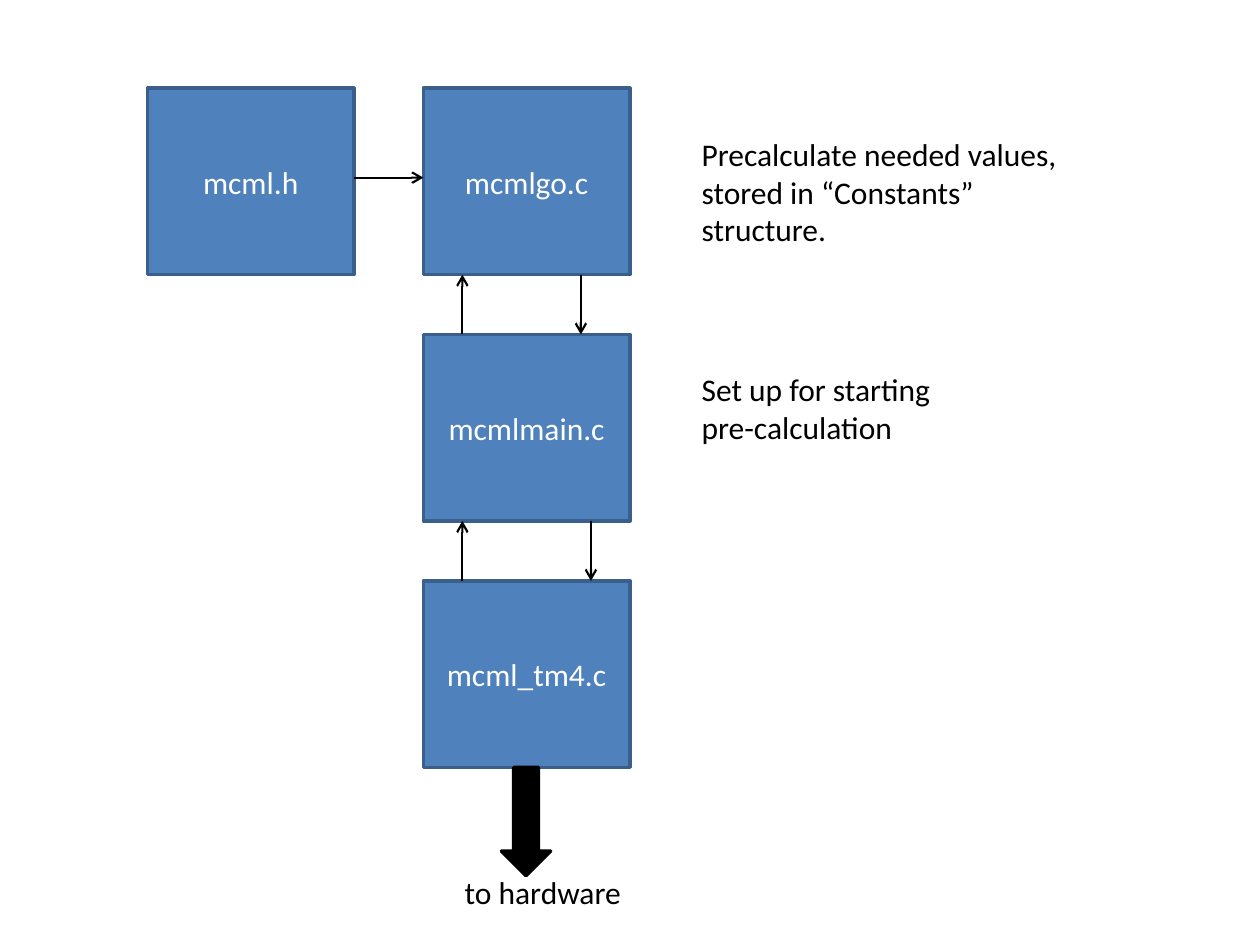
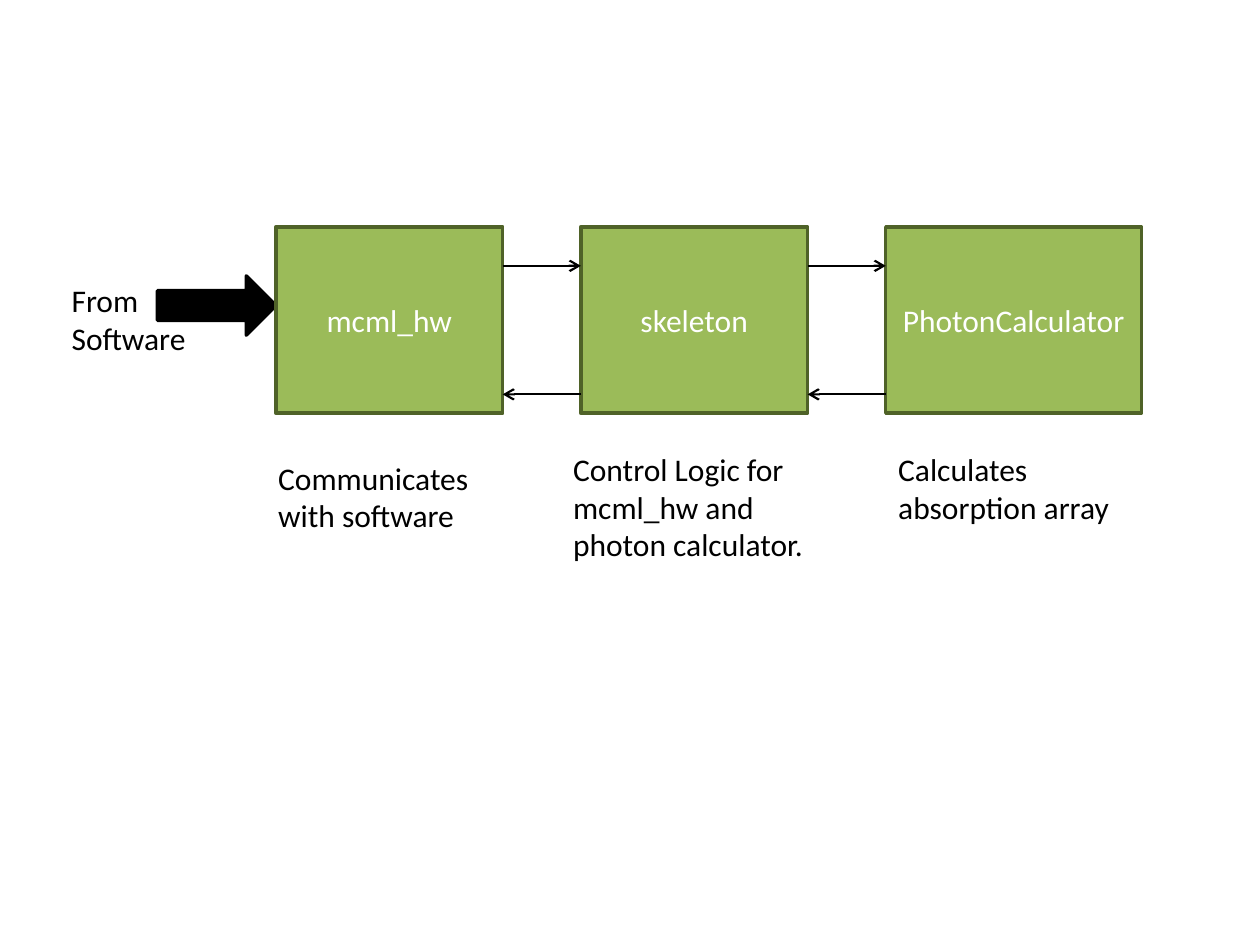
from dataclasses import dataclass

from lxml.etree import SubElement
from pptx import Presentation
from pptx.dml.color import RGBColor
from pptx.enum.shapes import MSO_CONNECTOR, MSO_SHAPE
from pptx.enum.text import MSO_ANCHOR, MSO_AUTO_SIZE, PP_ALIGN
from pptx.oxml.ns import qn
from pptx.shapes.autoshape import Shape
from pptx.slide import Slide
from pptx.text.text import TextFrame
from pptx.util import Inches, Pt


@dataclass(frozen=True)
class Theme:
    font: str = "Calibri"
    text_size: Pt = Pt(18)
    outline: Pt = Pt(2)
    arrow_line: Pt = Pt(1.25)
    ink: RGBColor = RGBColor(0x00, 0x00, 0x00)
    label: RGBColor = RGBColor(0xFF, 0xFF, 0xFF)
    software: RGBColor = RGBColor(0x4F, 0x81, 0xBD)
    software_edge: RGBColor = RGBColor(0x3A, 0x5F, 0x8C)
    hardware: RGBColor = RGBColor(0x9B, 0xBB, 0x59)
    hardware_edge: RGBColor = RGBColor(0x4F, 0x62, 0x28)


THEME = Theme()
MODULE_HEIGHT = 1.48


@dataclass(frozen=True)
class Module:
    name: str
    left: float
    top: float
    width: float

    @property
    def right(self) -> float:
        return self.left + self.width

    @property
    def bottom(self) -> float:
        return self.top + MODULE_HEIGHT


@dataclass(frozen=True)
class Note:
    text: str
    left: float
    top: float
    width: float
    height: float


@dataclass(frozen=True)
class Arrow:
    x1: float
    y1: float
    x2: float
    y2: float


def write(frame: TextFrame, text: str, color: RGBColor) -> None:
    run = frame.paragraphs[0].add_run()
    run.text = text
    run.font.name = THEME.font
    run.font.size = THEME.text_size
    run.font.color.rgb = color


def draw_shape(slide: Slide, preset: MSO_SHAPE, left: float, top: float, width: float,
               height: float, fill: RGBColor, edge: RGBColor) -> Shape:
    shape = slide.shapes.add_shape(
        preset, Inches(left), Inches(top), Inches(width), Inches(height))
    shape.shadow.inherit = False
    shape.fill.solid()
    shape.fill.fore_color.rgb = fill
    shape.line.color.rgb = edge
    shape.line.width = THEME.outline
    return shape


def draw_module(slide: Slide, module: Module, fill: RGBColor, edge: RGBColor) -> None:
    box = draw_shape(slide, MSO_SHAPE.RECTANGLE, module.left, module.top,
                     module.width, MODULE_HEIGHT, fill, edge)
    frame = box.text_frame
    frame.word_wrap = True
    frame.vertical_anchor = MSO_ANCHOR.MIDDLE
    frame.paragraphs[0].alignment = PP_ALIGN.CENTER
    write(frame, module.name, THEME.label)


def draw_note(slide: Slide, note: Note) -> None:
    box = slide.shapes.add_textbox(
        Inches(note.left), Inches(note.top), Inches(note.width), Inches(note.height))
    box.text_frame.word_wrap = True
    box.text_frame.auto_size = MSO_AUTO_SIZE.SHAPE_TO_FIT_TEXT
    write(box.text_frame, note.text, THEME.ink)


def draw_arrow(slide: Slide, arrow: Arrow) -> None:
    connector = slide.shapes.add_connector(
        MSO_CONNECTOR.STRAIGHT, Inches(arrow.x1), Inches(arrow.y1),
        Inches(arrow.x2), Inches(arrow.y2))
    connector.line.color.rgb = THEME.ink
    connector.line.width = THEME.arrow_line
    SubElement(connector.line._get_or_add_ln(), qn("a:tailEnd"), type="arrow")
    SubElement(connector._element.spPr, qn("a:effectLst"))


def build_software(slide: Slide) -> None:
    width, column, first_top, step = 1.64, 3.36, 0.7, 1.955
    header = Module("mcml.h", 1.17, first_top, width)
    stack = [Module(name, column, first_top + row * step, width)
             for row, name in enumerate(("mcmlgo.c", "mcmlmain.c", "mcml_tm4.c"))]
    for module in (header, *stack):
        draw_module(slide, module, THEME.software, THEME.software_edge)

    draw_arrow(slide, Arrow(header.right, 1.41, column, 1.41))
    up_x = 3.67
    for upper, lower, down_x in zip(stack, stack[1:], (4.61, 4.69)):
        draw_arrow(slide, Arrow(up_x, lower.top, up_x, upper.bottom))
        draw_arrow(slide, Arrow(down_x, upper.bottom, down_x, lower.top))

    draw_shape(slide, MSO_SHAPE.DOWN_ARROW, 3.98, stack[-1].bottom, 0.39, 0.86,
               THEME.ink, THEME.ink)
    for note in (
        Note("Precalculate needed values, stored in “Constants” structure.",
             5.47, 1.02, 3.13, 1.01),
        Note("Set up for starting pre-calculation", 5.47, 2.89, 2.11, 0.71),
        Note("to hardware", 3.59, 6.88, 2.97, 0.4),
    ):
        draw_note(slide, note)


def build_hardware(slide: Slide) -> None:
    first_left, step, top = 2.19, 2.42, 1.8
    chain = [Module(name, first_left + column * step, top, width)
             for column, (name, width) in enumerate(
                 (("mcml_hw", 1.8), ("skeleton", 1.8), ("PhotonCalculator", 2.03)))]
    draw_shape(slide, MSO_SHAPE.RIGHT_ARROW, 1.25, 2.19, 0.94, 0.47,
               THEME.ink, THEME.ink)
    for module in chain:
        draw_module(slide, module, THEME.hardware, THEME.hardware_edge)

    forward_y, back_y = 2.11, 3.13
    for source, target in zip(chain, chain[1:]):
        draw_arrow(slide, Arrow(source.right, forward_y, target.left, forward_y))
        draw_arrow(slide, Arrow(target.left, back_y, source.right, back_y))

    for note in (
        Note("From Software", 0.47, 2.18, 1.33, 0.71),
        Note("Communicates with software", 2.11, 3.59, 1.95, 0.71),
        Note("Control Logic for mcml_hw and photon calculator.", 4.45, 3.52, 2.19, 1.01),
        Note("Calculates absorption array", 7.03, 3.52, 2.19, 0.71),
    ):
        draw_note(slide, note)


def main() -> None:
    deck = Presentation()
    deck.slide_width, deck.slide_height = Inches(10), Inches(7.5)
    blank = deck.slide_layouts[6]
    for build in (build_software, build_hardware):
        build(deck.slides.add_slide(blank))
    deck.save("out.pptx")


if __name__ == "__main__":
    main()
